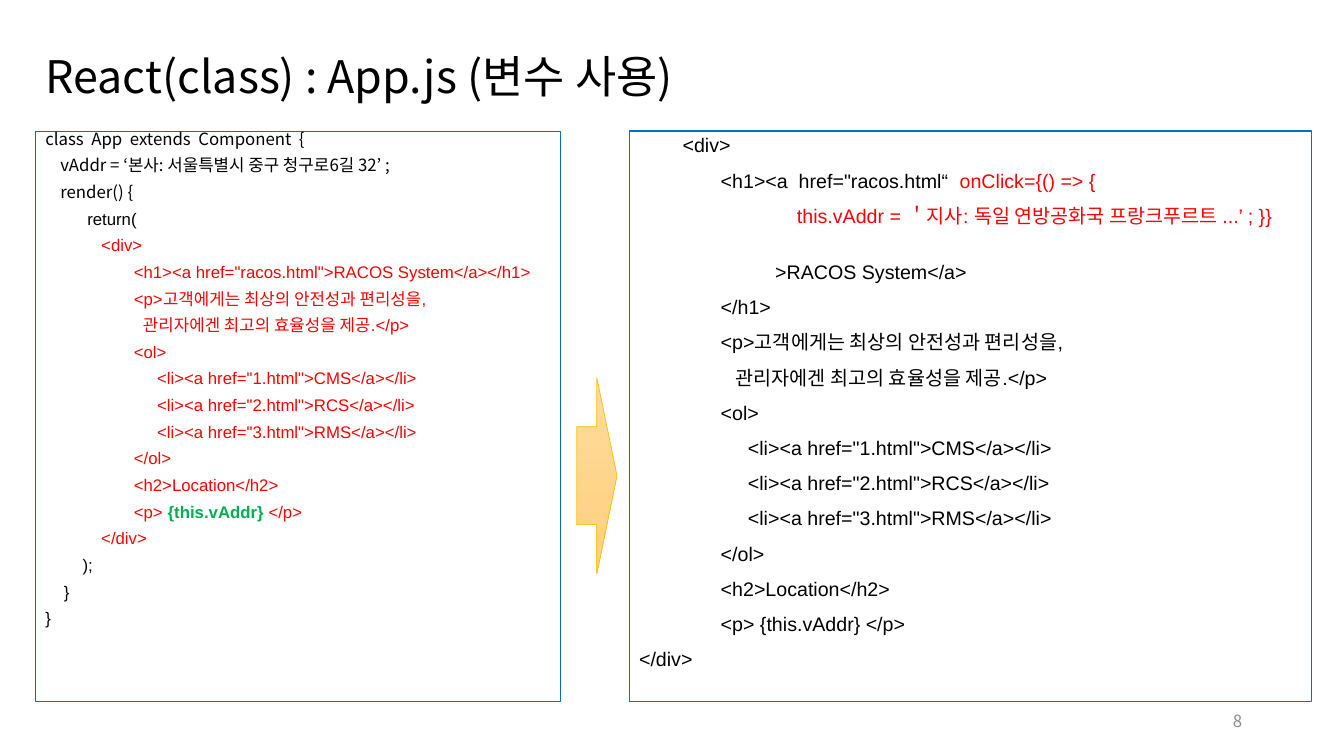
"""Build the slide that explains variables in a React class component."""
from dataclasses import dataclass

from lxml.etree import SubElement
from pptx import Presentation
from pptx.dml.color import RGBColor
from pptx.enum.shapes import MSO_SHAPE as Preset
from pptx.enum.text import MSO_ANCHOR as Anchor, MSO_AUTO_SIZE as AutoSize, PP_ALIGN as Align
from pptx.oxml.ns import qn
from pptx.util import Emu, Pt

EMU_PER_PX = 9144
KOREAN_FONT = "Noto Sans CJK KR"
CODE_FONT = "Arial"
BLACK = RGBColor(0x00, 0x00, 0x00)
RED = RGBColor(0xFF, 0x00, 0x00)
GREEN = RGBColor(0x00, 0xB0, 0x50)
GREY = RGBColor(0x8C, 0x8C, 0x8C)
BLUE = RGBColor(0x00, 0x70, 0xC0)
GOLD = RGBColor(0xFF, 0xC0, 0x00)
ARROW_TOP = RGBColor(0xFF, 0xDB, 0x9E)
ARROW_BOTTOM = RGBColor(0xFF, 0xD0, 0x7C)


@dataclass(frozen=True)
class Box:
    left: int
    top: int
    width: int
    height: int

    def emu(self) -> tuple:
        return tuple(Emu(side * EMU_PER_PX)
                     for side in (self.left, self.top, self.width, self.height))


@dataclass(frozen=True)
class Piece:
    text: str
    color: RGBColor = BLACK
    font: str = CODE_FONT
    bold: bool = False


@dataclass(frozen=True)
class Line:
    indent: int
    pieces: tuple
    space_before: int = 10


@dataclass(frozen=True)
class Listing:
    size: int
    spacing: object
    lines: tuple


def code(indent: int, text: str, color: RGBColor = BLACK, font: str = CODE_FONT,
         space_before: int = 10) -> Line:
    return Line(indent, (Piece(text, color, font),), space_before)


def links(indent: int, color: RGBColor) -> tuple:
    return tuple(code(indent, f'<li><a href="{number}.html">{name}</a></li>', color)
                 for number, name in enumerate(("CMS", "RCS", "RMS"), 1))


COMPONENT = Listing(12, Pt(9), (
    code(0, "class  App  extends  Component  {", font=KOREAN_FONT),
    code(4, "vAddr = ‘본사: 서울특별시 중구 청구로6길 32’ ;", font=KOREAN_FONT),
    code(4, "render() {", font=KOREAN_FONT),
    code(9, "return("),
    code(12, "<div>", RED),
    code(19, '<h1><a href="racos.html">RACOS System</a></h1>', RED),
    code(19, "<p>고객에게는 최상의 안전성과 편리성을,", RED),
    code(26, "관리자에겐 최고의 효율성을 제공.</p>", RED),
    code(19, "<ol>", RED),
    *links(24, RED),
    code(19, "</ol>", RED),
    code(19, "<h2>Location</h2>", RED),
    Line(19, (Piece("<p> ", RED), Piece("{this.vAddr} ", GREEN, bold=True), Piece("</p>", RED))),
    code(12, "</div>", RED),
    code(8, ");"),
    code(4, "}"),
    code(0, "}"),
))

CLICK_HANDLER = Listing(14, 0.9, (
    code(8, "<div>"),
    Line(15, (Piece('<h1><a  href="racos.html“  '), Piece("onClick={() => {", RED))),
    code(29, "this.vAddr = ＇지사: 독일 연방공화국 프랑크푸르트 ...’ ; }}", RED),
    code(25, ">RACOS System</a>", space_before=25),
    code(15, "</h1>"),
    code(15, "<p>고객에게는 최상의 안전성과 편리성을,"),
    code(22, "관리자에겐 최고의 효율성을 제공.</p>"),
    code(15, "<ol>"),
    *links(20, BLACK),
    code(15, "</ol>"),
    code(15, "<h2>Location</h2>"),
    code(15, "<p> {this.vAddr} </p>"),
    code(0, "</div>"),
))


def place(shape, box: Box) -> None:
    shape.left, shape.top, shape.width, shape.height = box.emu()


def add_run(paragraph, piece: Piece, size: int) -> None:
    run = paragraph.add_run()
    run.text = piece.text
    run.font.size = Pt(size)
    run.font.name = piece.font
    run.font.bold = piece.bold
    run.font.color.rgb = piece.color
    latin = run.font._element.find(qn("a:latin"))
    east_asian = SubElement(run.font._element, qn("a:ea"), typeface=KOREAN_FONT)
    latin.addnext(east_asian)


def prepare_frame(shape, anchor: Anchor):
    frame = shape.text_frame
    frame.word_wrap = True
    frame.auto_size = AutoSize.NONE
    frame.vertical_anchor = anchor
    return frame


def write_label(shape, text: str, size: int, color: RGBColor, align: Align) -> None:
    paragraph = prepare_frame(shape, Anchor.MIDDLE).paragraphs[0]
    paragraph.alignment = align
    add_run(paragraph, Piece(text, color, KOREAN_FONT), size)


def write_listing(shape, listing: Listing) -> None:
    shape.line.color.rgb = BLUE
    shape.line.width = Pt(0.75)
    frame = prepare_frame(shape, Anchor.TOP)
    for number, line in enumerate(listing.lines):
        paragraph = frame.add_paragraph() if number else frame.paragraphs[0]
        properties = paragraph._p.get_or_add_pPr()
        properties.set("marL", "0")
        properties.set("indent", "0")
        SubElement(properties, qn("a:buNone"))
        paragraph.alignment = Align.LEFT
        paragraph.line_spacing = listing.spacing
        paragraph.space_before = Pt(line.space_before if number else 0)
        first, *rest = line.pieces
        add_run(paragraph, Piece(" " * line.indent + first.text, first.color, first.font), listing.size)
        for piece in rest:
            add_run(paragraph, piece, listing.size)


def add_arrow(shapes, box: Box) -> None:
    arrow = shapes.add_shape(Preset.RIGHT_ARROW, *box.emu())
    arrow.shadow.inherit = False
    arrow.fill.gradient()
    arrow.fill.gradient_angle = 270
    for stop, color in zip(arrow.fill.gradient_stops, (ARROW_TOP, ARROW_BOTTOM)):
        stop.color.rgb = color
    arrow.line.color.rgb = GOLD
    arrow.line.width = Pt(0.5)


def main() -> None:
    deck = Presentation()
    deck.slide_width, deck.slide_height = Box(0, 0, 1333, 750).emu()[2:]
    slide = deck.slides.add_slide(deck.slide_layouts[1])
    shapes = slide.shapes

    title = shapes.title
    place(title, Box(35, 40, 1266, 77))
    write_label(title, "React(class) : App.js (변수 사용)", 32, BLACK, Align.LEFT)
    title.text_frame.paragraphs[0].line_spacing = 0.9

    component = slide.placeholders[1]
    place(component, Box(35, 130, 521, 566))
    write_listing(component, COMPONENT)

    page_number = shapes.add_textbox(*Box(942, 695, 300, 40).emu())
    write_label(page_number, "8", 12, GREY, Align.RIGHT)

    click_handler = shapes.add_shape(Preset.RECTANGLE, *Box(624, 130, 677, 566).emu())
    click_handler.shadow.inherit = False
    click_handler.fill.background()
    write_listing(click_handler, CLICK_HANDLER)

    add_arrow(shapes, Box(572, 375, 40, 194))
    deck.save("out.pptx")


if __name__ == "__main__":
    main()
